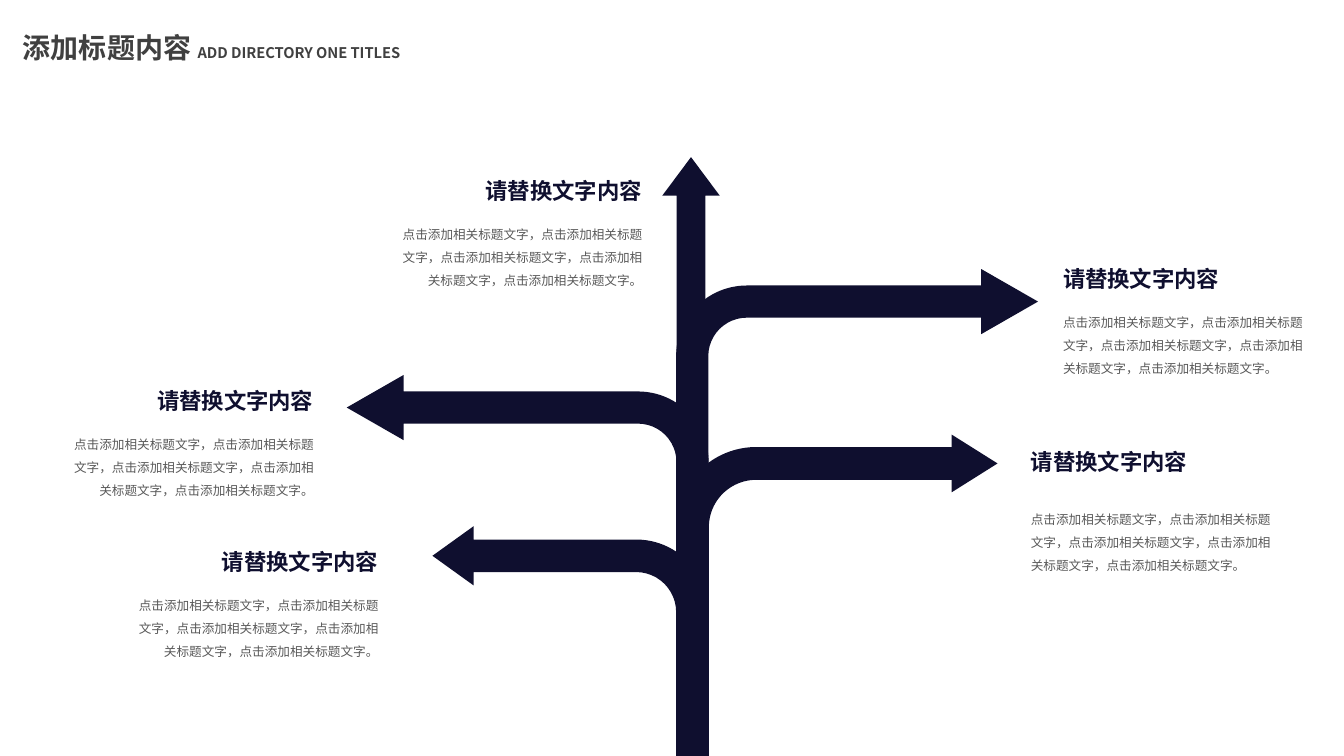
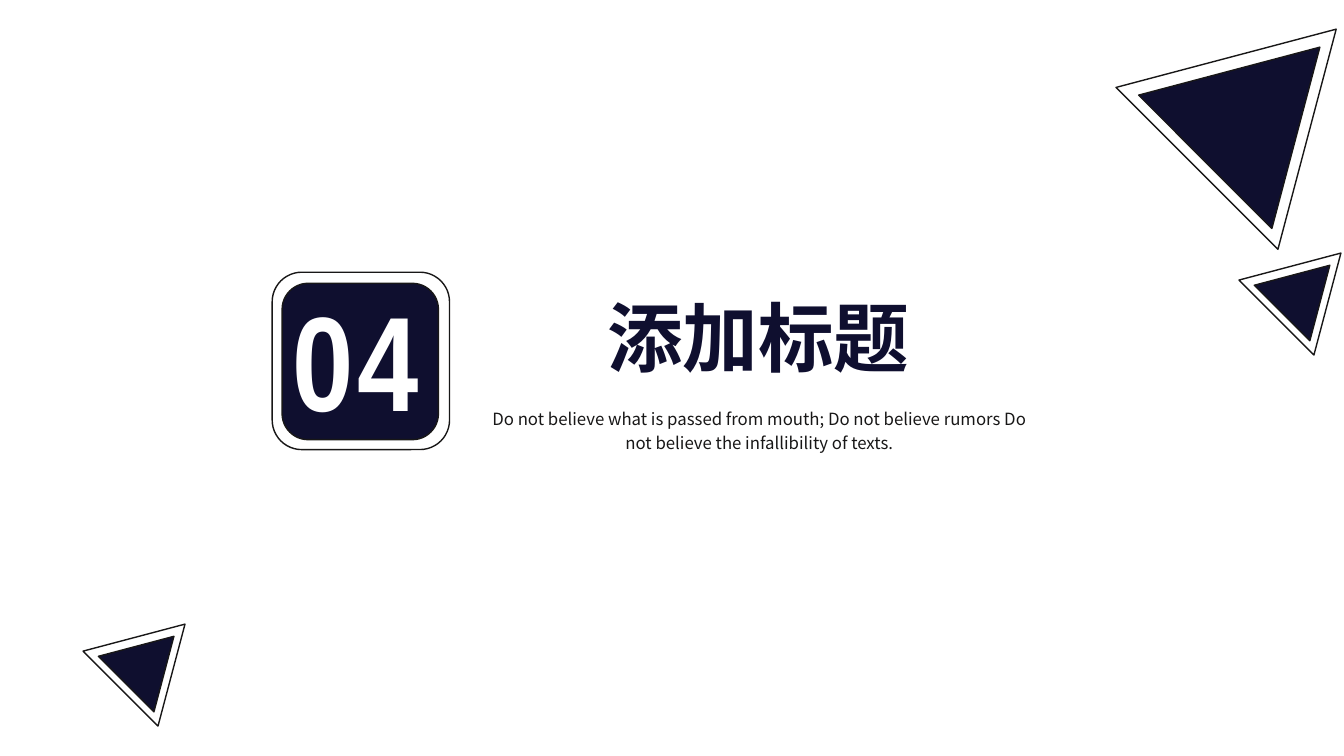
from dataclasses import dataclass

from pptx import Presentation
from pptx.dml.color import RGBColor
from pptx.enum.shapes import MSO_SHAPE
from pptx.enum.text import PP_ALIGN
from pptx.oxml.ns import qn
from pptx.util import Cm, Pt

COLORS = {
    "navy": "0F0F2F",
    "ink": "181717",
    "title": "404040",
    "body": "595959",
    "white": "FFFFFF",
}
SANS = "Noto Sans CJK SC"
NARROW = "Arial Narrow"

HEADING = "请替换文字内容"
BODY = "，".join(["点击添加相关标题文字"] * 5) + "。"

TREE_BOTTOM = 19.33
TRUNK_LEFT, TRUNK_RIGHT = 17.04, 17.86
TRIANGLE_RATIO = 0.86


@dataclass(frozen=True)
class Style:
    size: float
    color: str
    bold: bool = False
    font: str = SANS
    leading: float | None = None
    tracking: int = 0


@dataclass(frozen=True)
class Branch:
    top: float
    reach: float
    to_left: bool
    bend: tuple[float, ...]


@dataclass(frozen=True)
class Label:
    left: float
    top: float
    align: PP_ALIGN
    width: float = 6.63
    height: float = 3.05
    gap: float = 10.7


@dataclass(frozen=True)
class FramedTriangle:
    center_x: float
    center_y: float
    frame_width: float
    core_width: float


TITLE = Style(20, "title", True, leading=24.8)
SUBTITLE = Style(10.5, "title", True)
LABEL_HEADING = Style(16, "navy", True, leading=20)
LABEL_BODY = Style(9, "body", leading=16.4)
NUMBER = Style(96, "white", True, NARROW, tracking=300)
SECTION = Style(54, "navy", True, leading=67.5)
SUMMARY = Style(12, "ink", leading=17.3)

BRANCHES = [
    Branch(6.78, 9.12, False, (0.089, 0.09, 0.157, 0.195)),
    Branch(9.45, 9.12, True, (0.089, 0.09, 0.157, 0.195)),
    Branch(10.95, 8.1, False, (0.102, 0.09, 0.143, 0.249)),
    Branch(13.26, 6.96, True, (0.135, 0.123, 0.171, 0.301)),
]
LABELS = [
    Label(3.05, 13.67, PP_ALIGN.RIGHT, width=6.73),
    Label(1.52, 9.6, PP_ALIGN.RIGHT),
    Label(25.73, 11.13, PP_ALIGN.LEFT, height=3.43, gap=21),
    Label(9.8, 4.32, PP_ALIGN.RIGHT),
    Label(26.54, 6.53, PP_ALIGN.LEFT),
]
TRIANGLES = [
    FramedTriangle(31.92, 2.49, 5.77, 4.75),
    FramedTriangle(32.98, 7.19, 2.67, 1.98),
    FramedTriangle(3.85, 16.54, 2.67, 1.98),
]


def rgb(name: str) -> RGBColor:
    return RGBColor.from_string(COLORS[name])


def style_run(run, style: Style) -> None:
    font = run.font
    font.size, font.bold, font.name = Pt(style.size), style.bold, style.font
    font.color.rgb = rgb(style.color)
    props = run._r.get_or_add_rPr()
    latin = props.find(qn("a:latin"))
    east_asian = latin.makeelement(qn("a:ea"), {"typeface": style.font})
    latin.addnext(east_asian)
    if style.tracking:
        props.set("spc", str(style.tracking))


def write(paragraph, text: str, style: Style, align: PP_ALIGN) -> None:
    paragraph.text = text
    paragraph.alignment = align
    if style.leading:
        paragraph.line_spacing = Pt(style.leading)
    style_run(paragraph.runs[0], style)


def add_text_frame(slide, left: float, top: float, width: float,
                   height: float, wrap: bool = True):
    frame = slide.shapes.add_textbox(
        Cm(left), Cm(top), Cm(width), Cm(height)).text_frame
    frame.word_wrap = wrap
    return frame


def add_figure(slide, kind: MSO_SHAPE, left: float, top: float, width: float,
               height: float, filled: bool = True, outlined: bool = False,
               bend: tuple[float, ...] = ()):
    figure = slide.shapes.add_shape(
        kind, Cm(left), Cm(top), Cm(width), Cm(height))
    figure.shadow.inherit = False
    if filled:
        figure.fill.solid()
        figure.fill.fore_color.rgb = rgb("navy")
    else:
        figure.fill.background()
    if outlined:
        figure.line.color.rgb = rgb("ink")
        figure.line.width = Pt(1)
    else:
        figure.line.fill.background()
    for index, value in enumerate(bend):
        figure.adjustments[index] = value
    return figure


def add_header(slide, title: str, subtitle: str) -> None:
    paragraph = add_text_frame(slide, 0, 0.61, 10.67, 1.12).paragraphs[0]
    write(paragraph, title + " ", TITLE, PP_ALIGN.CENTER)
    run = paragraph.add_run()
    run.text = subtitle
    style_run(run, SUBTITLE)


def add_branch(slide, branch: Branch) -> None:
    left = TRUNK_RIGHT - branch.reach if branch.to_left else TRUNK_LEFT
    arrow = add_figure(slide, MSO_SHAPE.BENT_ARROW, left, branch.top,
                       branch.reach, TREE_BOTTOM - branch.top,
                       bend=branch.bend)
    if branch.to_left:
        arrow._element.spPr.find(qn("a:xfrm")).set("flipH", "1")


def add_label(slide, label: Label) -> None:
    frame = add_text_frame(slide, label.left, label.top,
                           label.width, label.height)
    heading = frame.paragraphs[0]
    write(heading, HEADING, LABEL_HEADING, label.align)
    heading.space_after = Pt(label.gap)
    write(frame.add_paragraph(), BODY, LABEL_BODY, label.align)


def add_framed_triangle(slide, item: FramedTriangle) -> None:
    margin = item.frame_width - item.core_width
    # The core sits slightly off the frame's centre to keep an even margin
    parts = [
        (item.core_width, -0.1 * margin, 0.14 * margin, True),
        (item.frame_width, 0, 0, False),
    ]
    for width, shift_x, shift_y, filled in parts:
        height = width * TRIANGLE_RATIO
        triangle = add_figure(
            slide, MSO_SHAPE.ISOSCELES_TRIANGLE,
            item.center_x + shift_x - width / 2,
            item.center_y + shift_y - height / 2,
            width, height, filled=filled, outlined=True)
        triangle.rotation = 45


def build_tree(slide) -> None:
    add_header(slide, "添加标题内容", "ADD DIRECTORY ONE TITLES")
    # Trunk and branches
    add_figure(slide, MSO_SHAPE.UP_ARROW, 16.69, 3.96, 1.45,
               TREE_BOTTOM - 3.96, bend=(0.5, 0.671))
    for branch in BRANCHES:
        add_branch(slide, branch)
    for label in LABELS:
        add_label(slide, label)


def build_section(slide) -> None:
    # Number badge
    add_figure(slide, MSO_SHAPE.ROUNDED_RECTANGLE, 7.11, 7.14, 3.94, 3.94,
               outlined=True)
    number = add_text_frame(slide, 7.11, 6.86, 4.09, 4.37)
    write(number.paragraphs[0], "04", NUMBER, PP_ALIGN.LEFT)
    add_figure(slide, MSO_SHAPE.ROUNDED_RECTANGLE, 6.86, 6.86, 4.47, 4.47,
               filled=False, outlined=True)
    # Corner decoration
    for item in TRIANGLES:
        add_framed_triangle(slide, item)
    # Section title and summary
    section = add_text_frame(slide, 15.01, 7.11, 8.2, 2.57, wrap=False)
    write(section.paragraphs[0], "添加标题", SECTION, PP_ALIGN.CENTER)
    summary = add_text_frame(slide, 11.81, 10.08, 14.66, 1.5)
    write(summary.paragraphs[0],
          "Do not believe what is passed from mouth; Do not believe rumors "
          "Do not believe the infallibility of texts.",
          SUMMARY, PP_ALIGN.CENTER)


def main() -> None:
    deck = Presentation()
    deck.slide_width, deck.slide_height = Cm(33.87), Cm(19.05)
    blank = deck.slide_layouts[6]
    for build in (build_tree, build_section):
        build(deck.slides.add_slide(blank))
    deck.save("out.pptx")


if __name__ == "__main__":
    main()
